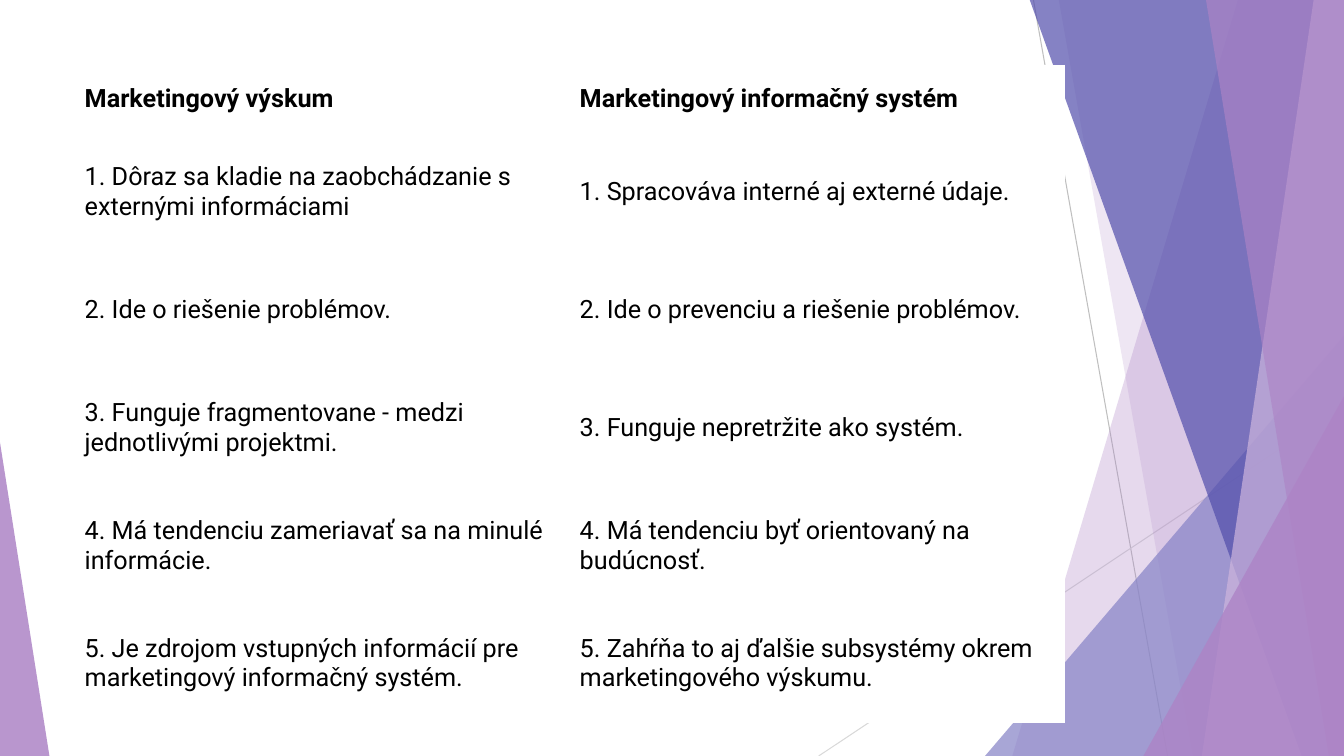
"""Build a slide comparing marketing research with a marketing information system."""
from dataclasses import dataclass

import pptx
import pptx.dml.color
import pptx.enum.shapes
import pptx.enum.text
import pptx.oxml.ns
import pptx.util
from lxml import etree

Inches = pptx.util.Inches
RGBColor = pptx.dml.color.RGBColor

WHITE = RGBColor(0xFF, 0xFF, 0xFF)
BLACK = RGBColor(0, 0, 0)
GRAY = RGBColor(0xBF, 0xBF, 0xBF)
LIGHT_GRAY = RGBColor(0xD9, 0xD9, 0xD9)
PURPLE = RGBColor(0xAD, 0x84, 0xC6)
LILAC = RGBColor(0xCE, 0xB5, 0xDD)
PERIWINKLE = RGBColor(0x87, 0x84, 0xC7)
INDIGO = RGBColor(0x52, 0x4E, 0xAB)

WIDTH, HEIGHT = 13.33, 7.5
BAND_TOP = -0.01
COLUMN_WIDTH = 4.91
HEADER_HEIGHT, ROW_HEIGHT = 0.67, 1.17


@dataclass(frozen=True)
class Ray:
    start: tuple[float, float]
    end: tuple[float, float]
    color: RGBColor


@dataclass(frozen=True)
class Band:
    """Area between a slanted edge and the right side of the slide."""
    top_x: float
    bottom_x: float
    color: RGBColor
    opacity: int


@dataclass(frozen=True)
class Wedge:
    left: float
    top: float
    width: float
    apex: float
    color: RGBColor
    opacity: int


RAYS = [
    Ray((10.25, 0), (11.58, HEIGHT), GRAY),
    Ray((WIDTH, 4.03), (8.12, HEIGHT), LIGHT_GRAY),
]
FACETS = [
    Band(12.28, 10.04, PURPLE, 30),
    Band(10.5, 11.83, PURPLE, 20),
    Wedge(9.77, 3.33, 3.56, 1, PERIWINKLE, 72),
    Band(10.21, 12.91, INDIGO, 70),
    Band(13.03, 11.92, LILAC, 70),
    Band(11.96, 13.18, PURPLE, 65),
    Wedge(11.34, 3.93, 1.99, 1, PURPLE, 80),
    Wedge(0, 4.39, 0.49, 0, PURPLE, 85),
]
COMPARISON = [
    ("Marketingový výskum", "Marketingový informačný systém"),
    ("1. Dôraz sa kladie na zaobchádzanie s externými informáciami",
     "1. Spracováva interné aj externé údaje."),
    ("2. Ide o riešenie problémov.",
     "2. Ide o prevenciu a riešenie problémov."),
    ("3. Funguje fragmentovane - medzi jednotlivými projektmi.",
     "3. Funguje nepretržite ako systém."),
    ("4. Má tendenciu zameriavať sa na minulé informácie.",
     "4. Má tendenciu byť orientovaný na budúcnosť."),
    ("5. Je zdrojom vstupných informácií pre marketingový informačný systém.",
     "5. Zahŕňa to aj ďalšie subsystémy okrem marketingového výskumu."),
]
FONT_FORMAT = {"name": "Roboto", "size": pptx.util.Pt(18)}


def draw_ray(slide: pptx.slide.Slide, ray: Ray) -> None:
    """Draw a thin straight line."""
    connector = slide.shapes.add_connector(
        pptx.enum.shapes.MSO_CONNECTOR.STRAIGHT,
        *(Inches(value) for value in ray.start + ray.end))
    connector.line.color.rgb = ray.color
    connector.line.width = pptx.util.Pt(0.75)
    properties = connector._element.spPr
    etree.SubElement(properties, pptx.oxml.ns.qn("a:effectLst"))


def draw_facet(slide: pptx.slide.Slide, facet: Band | Wedge) -> None:
    """Draw a translucent band or wedge."""
    if isinstance(facet, Band):
        builder = slide.shapes.build_freeform(Inches(facet.top_x), Inches(BAND_TOP))
        corners = [(WIDTH, BAND_TOP), (WIDTH, HEIGHT), (facet.bottom_x, HEIGHT)]
        builder.add_line_segments([(Inches(x), Inches(y)) for x, y in corners])
        shape = builder.convert_to_shape()
    else:
        shape = slide.shapes.add_shape(
            pptx.enum.shapes.MSO_SHAPE.ISOSCELES_TRIANGLE,
            Inches(facet.left), Inches(facet.top),
            Inches(facet.width), Inches(HEIGHT - facet.top))
        shape.adjustments[0] = facet.apex
    shape.shadow.inherit = False
    shape.line.fill.background()
    shape.fill.solid()
    shape.fill.fore_color.rgb = facet.color
    color = shape._element.spPr.find(".//" + pptx.oxml.ns.qn("a:srgbClr"))
    alpha = etree.SubElement(color, pptx.oxml.ns.qn("a:alpha"))
    alpha.set("val", str(facet.opacity * 1000))


def draw_comparison(slide: pptx.slide.Slide) -> None:
    """Draw the two-column comparison table."""
    row_heights = [HEADER_HEIGHT] + [ROW_HEIGHT] * (len(COMPARISON) - 1)
    table = slide.shapes.add_table(
        len(COMPARISON), 2, Inches(0.74), Inches(0.65),
        Inches(2 * COLUMN_WIDTH), Inches(sum(row_heights))).table
    for column in table.columns:
        column.width = Inches(COLUMN_WIDTH)
    for row_index, texts in enumerate(COMPARISON):
        table.rows[row_index].height = Inches(row_heights[row_index])
        for cell, text in zip(table.rows[row_index].cells, texts):
            cell.fill.solid()
            cell.fill.fore_color.rgb = WHITE
            cell.vertical_anchor = pptx.enum.text.MSO_ANCHOR.MIDDLE
            run = cell.text_frame.paragraphs[0].add_run()
            run.text = text
            for name, value in (FONT_FORMAT | {"bold": row_index == 0}).items():
                setattr(run.font, name, value)
            run.font.color.rgb = BLACK


def main() -> None:
    """Build and save the presentation."""
    presentation = pptx.Presentation()
    presentation.slide_width = Inches(WIDTH)
    presentation.slide_height = Inches(HEIGHT)
    slide = presentation.slides.add_slide(presentation.slide_layouts[6])
    for ray in RAYS:
        draw_ray(slide, ray)
    for facet in FACETS:
        draw_facet(slide, facet)
    draw_comparison(slide)
    presentation.save("out.pptx")


if __name__ == "__main__":
    main()
